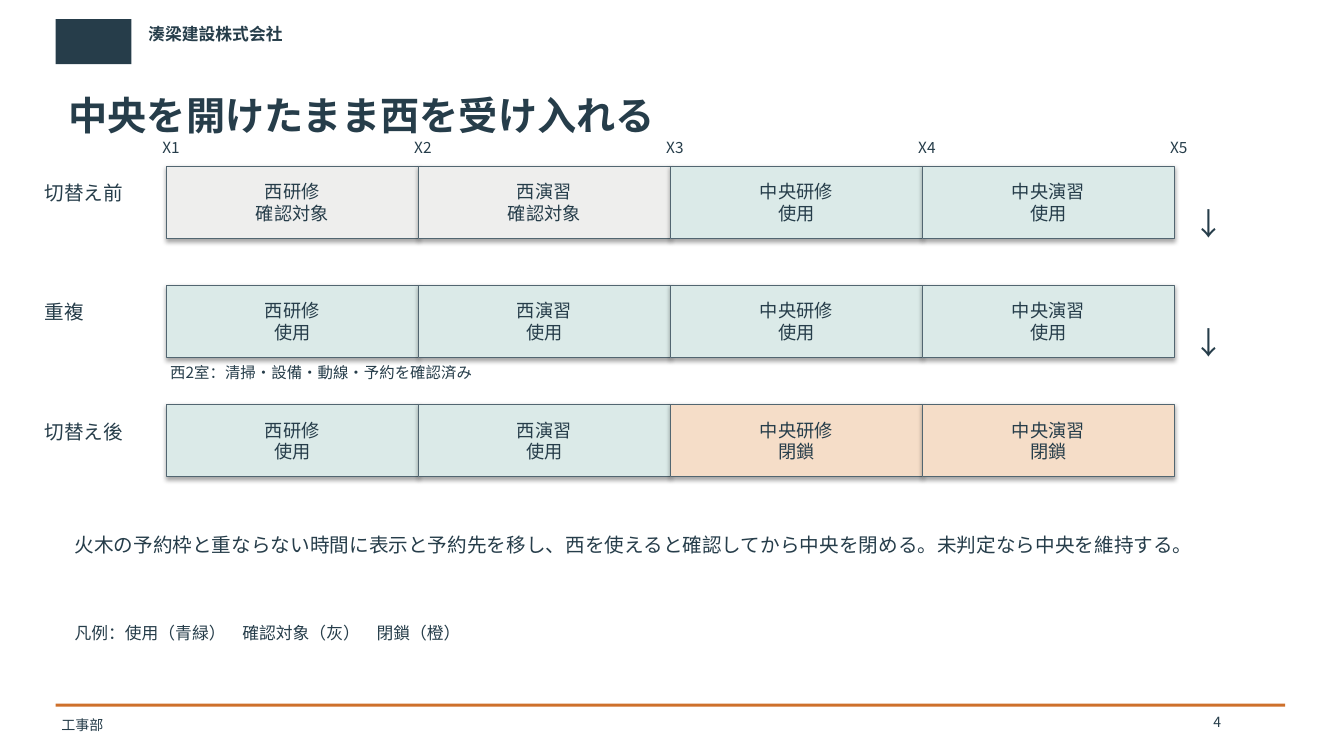
import lxml.etree
import pptx
import pptx.dml.color
import pptx.enum.shapes
import pptx.enum.text
import pptx.oxml.ns
import pptx.util

Cm = pptx.util.Cm
Pt = pptx.util.Pt
RGBColor = pptx.dml.color.RGBColor
PP_ALIGN = pptx.enum.text.PP_ALIGN
MSO_ANCHOR = pptx.enum.text.MSO_ANCHOR
MSO_AUTO_SIZE = pptx.enum.text.MSO_AUTO_SIZE
RECTANGLE = pptx.enum.shapes.MSO_SHAPE.RECTANGLE

NAVY = RGBColor(0x26, 0x3D, 0x4A)
ORANGE = RGBColor(0xCE, 0x70, 0x2B)
OUTLINE = RGBColor(0x52, 0x66, 0x71)
GRAY = RGBColor(0xEE, 0xEE, 0xED)
TEAL = RGBColor(0xDB, 0xEA, 0xE8)
PEACH = RGBColor(0xF5, 0xDD, 0xC8)
FONT = "Noto Sans CJK JP"

TITLE = "中央を開けたまま西を受け入れる"
COMPANY = "湊梁建設株式会社"
DEPARTMENT = "工事部"
PAGE = "4"
ROOMS = ["西研修", "西演習", "中央研修", "中央演習"]
STATE_FILLS = {"使用": TEAL, "確認対象": GRAY, "閉鎖": PEACH}
PHASES = [
    ("切替え前", ["確認対象", "確認対象", "使用", "使用"]),
    ("重複", ["使用", "使用", "使用", "使用"]),
    ("切替え後", ["使用", "使用", "閉鎖", "閉鎖"]),
]
CHECK_NOTE = "西2室：清掃・設備・動線・予約を確認済み"
SUMMARY = "火木の予約枠と重ならない時間に表示と予約先を移し、西を使えると確認してから中央を閉める。未判定なら中央を維持する。"
LEGEND = "凡例：使用（青緑）　確認対象（灰）　閉鎖（橙）"

# Room grid, in centimetres
GRID_LEFT, GRID_TOP = 4.19, 4.19
CELL_WIDTH, CELL_HEIGHT = 6.35, 1.83
ROW_PITCH = 3.0

BODY_INSETS = (0.1, 0.08, 0.1, 0.13)
HEADING_INSETS = (0.08, 0.13, 0.08, 0.13)
CELL_INSETS = (0.1, 0.13, 0.1, 0.13)


def write_text(shape, text, size, insets, bold=False, align=PP_ALIGN.LEFT,
               anchor=MSO_ANCHOR.TOP, auto_size=MSO_AUTO_SIZE.SHAPE_TO_FIT_TEXT):
    frame = shape.text_frame
    frame.text = text
    frame.word_wrap = True
    frame.auto_size = auto_size
    frame.vertical_anchor = anchor
    (frame.margin_left, frame.margin_top,
     frame.margin_right, frame.margin_bottom) = [Cm(inset) for inset in insets]
    for paragraph in frame.paragraphs:
        paragraph.alignment = align
        for run in paragraph.runs:
            run.font.size = Pt(size)
            run.font.bold = bold
            run.font.color.rgb = NAVY
            run.font.name = FONT
            east_asian = lxml.etree.SubElement(
                run.font._element, pptx.oxml.ns.qn("a:ea"))
            east_asian.set("typeface", FONT)


def add_text(slide, box, text, size, insets=BODY_INSETS, bold=False):
    shape = slide.shapes.add_textbox(*[Cm(length) for length in box])
    write_text(shape, text, size, insets, bold)


def add_block(slide, box, fill):
    """Add a filled rectangle without an outline or shadow."""
    shape = slide.shapes.add_shape(RECTANGLE, *[Cm(length) for length in box])
    shape.shadow.inherit = False
    shape.fill.solid()
    shape.fill.fore_color.rgb = fill
    shape.line.fill.background()


def add_room(slide, left, top, room, state):
    """Add one room cell, keeping the theme's soft shadow."""
    cell = slide.shapes.add_shape(
        RECTANGLE, Cm(left), Cm(top), Cm(CELL_WIDTH), Cm(CELL_HEIGHT))
    cell.fill.solid()
    cell.fill.fore_color.rgb = STATE_FILLS[state]
    cell.line.color.rgb = OUTLINE
    cell.line.width = Pt(0.75)
    write_text(cell, f"{room}\n{state}", 13, CELL_INSETS, align=PP_ALIGN.CENTER,
               anchor=MSO_ANCHOR.MIDDLE, auto_size=MSO_AUTO_SIZE.NONE)


def add_frame(slide):
    """Add the header, title and footer."""
    add_block(slide, (1.4, 0.48, 1.91, 1.14), NAVY)
    add_text(slide, (3.66, 0.46, 10.16, 1.27), COMPANY, 12, HEADING_INSETS, bold=True)
    add_block(slide, (1.4, 17.73, 30.99, 0.08), ORANGE)
    add_text(slide, (1.47, 17.93, 22.86, 0.76), DEPARTMENT, 10, HEADING_INSETS)
    add_text(slide, (30.48, 17.91, 1.52, 0.64), PAGE, 10)
    title = slide.shapes.title
    title.left, title.top, title.width, title.height = (
        Cm(1.65), Cm(2.16), Cm(30.48), Cm(2.03))
    write_text(title, TITLE, 28, HEADING_INSETS, bold=True)


def add_phases(slide):
    for row, (phase, states) in enumerate(PHASES):
        top = GRID_TOP + row * ROW_PITCH
        add_text(slide, (1.02, top + 0.3, 3.05, 1.02), phase, 14)
        for column, (room, state) in enumerate(zip(ROOMS, states)):
            add_room(slide, GRID_LEFT + column * CELL_WIDTH, top, room, state)
        if row < len(PHASES) - 1:
            add_text(slide, (29.97, top + 0.89, 1.27, 1.52), "↓", 22)
    for column in range(len(ROOMS) + 1):
        left = GRID_LEFT + column * CELL_WIDTH - 0.2
        add_text(slide, (left, 3.4, 1.27, 0.64), f"X{column + 1}", 11)
    note_top = GRID_TOP + ROW_PITCH + CELL_HEIGHT + 0.05
    add_text(slide, (GRID_LEFT, note_top, 25.4, 0.71), CHECK_NOTE, 11)


def main():
    presentation = pptx.Presentation()
    presentation.slide_width = Cm(33.87)
    presentation.slide_height = Cm(19.05)
    slide = presentation.slides.add_slide(presentation.slide_layouts[5])
    add_frame(slide)
    add_phases(slide)
    add_text(slide, (1.78, 13.34, 29.72, 2.03), SUMMARY, 14)
    add_text(slide, (1.78, 15.62, 27.94, 0.89), LEGEND, 12)
    presentation.save("out.pptx")


if __name__ == "__main__":
    main()
